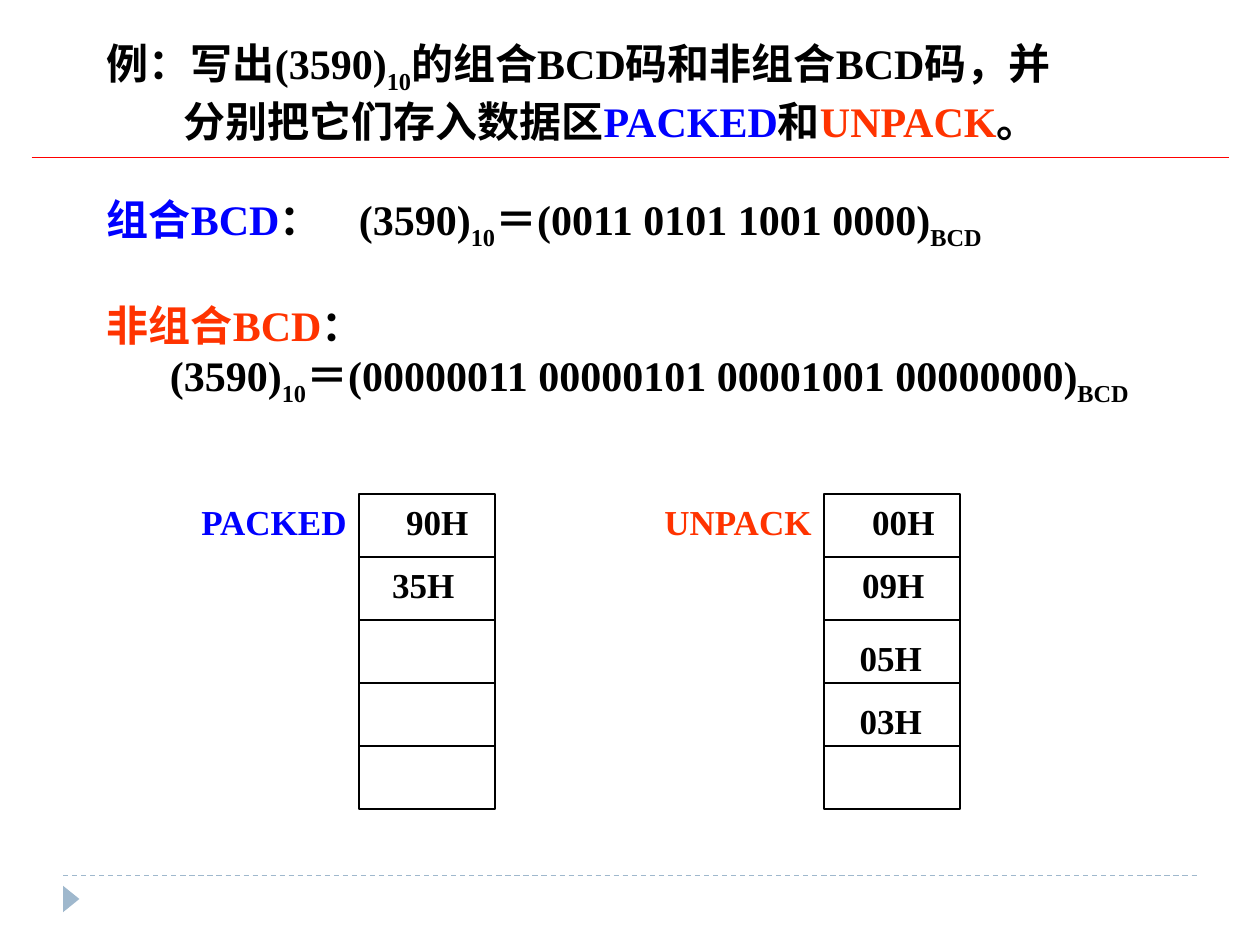
from dataclasses import dataclass

from lxml import etree
from pptx import Presentation
from pptx.dml.color import RGBColor
from pptx.enum.dml import MSO_LINE
from pptx.enum.shapes import MSO_CONNECTOR, MSO_SHAPE
from pptx.enum.text import MSO_ANCHOR, PP_ALIGN
from pptx.oxml.ns import qn
from pptx.util import Inches, Pt

DASH = MSO_LINE.DASH
LINE = MSO_CONNECTOR.STRAIGHT
RECT = MSO_SHAPE.RECTANGLE
WEDGE = MSO_SHAPE.ISOSCELES_TRIANGLE
MIDDLE = MSO_ANCHOR.MIDDLE
LEFT, MID, RIGHT = PP_ALIGN.LEFT, PP_ALIGN.CENTER, PP_ALIGN.RIGHT
COLS, ROWS = 40, 30


@dataclass(frozen=True)
class Theme:
    """Colours, font and type sizes of the slide."""
    ink: str = "000000"
    blue: str = "0000FF"
    red: str = "FF3300"
    rule: str = "FF0000"
    pale: str = "9FB8CD"
    font: str = "Times New Roman"
    body: int = 24
    cell: int = 20
    gap: float = 27.6
    sub: str = "-25000"


THEME = Theme()


def grid(*cells):
    """Turn grid cells into lengths."""
    return [Inches(cell * 10 / COLS) for cell in cells]


def rgb(tone):
    """Turn a hex string into a colour."""
    return RGBColor.from_string(tone)


def add_rule(shapes, left, right, row, tone, dash=None):
    """Draw a level line between two columns."""
    rule = shapes.add_connector(LINE, *grid(left, row, right, row))
    rule.line.color.rgb = rgb(tone)
    rule.line.width = Pt(0.75)
    if dash:
        rule.line.dash_style = dash
    etree.SubElement(rule._element.spPr, qn("a:effectLst"))


def add_text(shapes, box, size, lines, align=LEFT, anchor=None):
    """Place lines of (indent, gap, runs) in a box; a run is text, tone, sub."""
    frame = shapes.add_textbox(*grid(*box)).text_frame
    frame.word_wrap = True
    frame.vertical_anchor = anchor
    for i, (indent, gap, runs) in enumerate(lines):
        line = frame.add_paragraph() if i else frame.paragraphs[0]
        line.alignment = align
        line.space_before = Pt(gap)
        line.font.name, line.font.size, line.font.bold = THEME.font, Pt(size), True
        line._p.get_or_add_pPr().set("marL", str(grid(indent)[0]))
        for text, tone, sub in runs:
            run = line.add_run()
            run.text = text
            run.font.color.rgb = rgb(tone)
            if sub:
                run.font._element.set("baseline", THEME.sub)


def add_frame(shapes):
    """Draw the rules and the corner wedge of the page."""
    add_rule(shapes, 2, 38, 27.8, THEME.pale, DASH)
    wedge = shapes.add_shape(WEDGE, *grid(1.84, 28.28, 0.84, 0.52))
    wedge.rotation = 90
    wedge.shadow.inherit = False
    wedge.fill.solid()
    wedge.fill.fore_color.rgb = rgb(THEME.pale)
    wedge.line.fill.background()
    add_rule(shapes, 1, 39, 5, THEME.rule)


def add_body(shapes, box):
    """Write the task and its two answers."""
    ink, blue, red = THEME.ink, THEME.blue, THEME.red
    ten, bcd = ("10", ink, True), ("BCD", ink, True)
    add_text(shapes, box, THEME.body, [
        (0, 0, [("例：写出(3590)", ink, False), ten,
                ("的组合BCD码和非组合BCD码，并", ink, False)]),
        (2.44, 0, [("分别把它们存入数据区", ink, False), ("PACKED", blue, False),
                   ("和", ink, False), ("UNPACK", red, False),
                   ("。", ink, False)]),
        (0, THEME.gap, [("组合BCD", blue, False), ("：\t(3590)", ink, False), ten,
                        ("＝(0011 0101 1001 0000)", ink, False), bcd]),
        (0, THEME.gap, [("非组合BCD", red, False), ("：", ink, False)]),
        (2, 0, [("(3590)", ink, False), ten,
                ("＝(00000011 00000101 00001001 00000000)", ink, False), bcd]),
    ])


def add_stack(shapes, box, name, tone, data, count=5):
    """Draw a named column of memory cells; data holds (text, dx, dy)."""
    left, top, width, height = box
    step = height / count
    parts = shapes.add_group_shape().shapes
    for i in range(count):
        cell = parts.add_shape(RECT, *grid(left, top + i * step, width, step))
        cell.shadow.inherit = False
        cell.fill.background()
        cell.line.color.rgb = rgb(THEME.ink)
        cell.line.width = Pt(1)
    tall = step * 0.88
    add_text(parts, (left - 6, top, 6, tall), THEME.cell,
             [(0, 0, [(name, tone, False)])], RIGHT, MIDDLE)
    for i, (text, dx, dy) in enumerate(data):
        add_text(parts, (left + dx, top + i * step + dy, width, tall), THEME.cell,
                 [(0, 0, [(text, THEME.ink, False)])], MID, MIDDLE)


def main():
    """Build the slide and save it."""
    deck = Presentation()
    deck.slide_width, deck.slide_height = grid(COLS, ROWS)
    shapes = deck.slides.add_slide(deck.slide_layouts[6]).shapes
    add_frame(shapes)
    add_body(shapes, (3, 1, 34.68, 12.28))
    add_stack(shapes, (11.4, 15.68, 4.32, 10), "PACKED", THEME.blue,
              [("90H", 0.32, 0), ("35H", -0.12, 0)])
    add_stack(shapes, (26.16, 15.68, 4.32, 10), "UNPACK", THEME.red,
              [("00H", 0.36, 0), ("09H", 0.04, 0),
               ("05H", -0.04, 0.32), ("03H", -0.04, 0.32)])
    deck.save("out.pptx")


if __name__ == "__main__":
    main()
